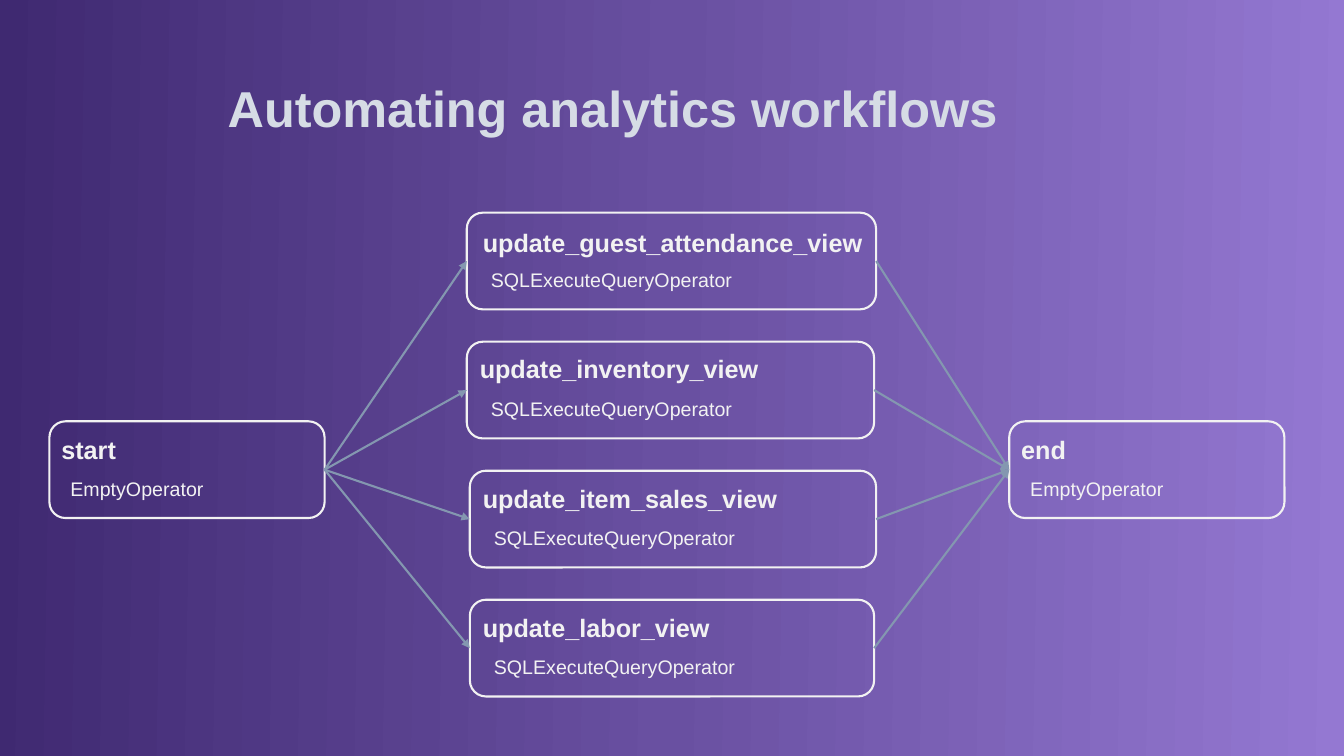
from dataclasses import dataclass

import pptx
import pptx.dml.color
import pptx.enum.shapes
import pptx.enum.text
import pptx.oxml
import pptx.oxml.ns
import pptx.util

Inches = pptx.util.Inches
LEFT_SITE, RIGHT_SITE = 1, 3


@dataclass(frozen=True)
class Theme:
    font: str = "Arial"
    light: str = "F2F2F2"
    heading: str = "D6DCE5"
    arrow: str = "8497B0"
    gradient: tuple = ((0, "3F2971"), (50, "6950A1"), (100, "9478D2"))
    title_size: int = 36
    name_size: int = 18
    operator_size: int = 14
    stroke: float = 1.5


@dataclass(frozen=True)
class Box:
    left: float
    top: float
    width: float
    height: float

    def inner(self, dx, dy, width, height):
        return Box(self.left + dx, self.top + dy, width, height)

    def lengths(self):
        return [Inches(v) for v in (self.left, self.top, self.width, self.height)]


THEME = Theme()
SLIDE = Box(0, 0, 13.33, 7.5)
NODE_HEIGHT = 0.96
END_WIDTH = 2.73
END_TOP = 4.18
TASK_TOP = 2.11
TASK_PITCH = 1.28

# Name, left, width, offset of the name inside its node, width of the name
TASKS = [
    ("update_guest_attendance_view", 4.63, 4.06, (0.06, 0.10), 4.06),
    ("update_inventory_view", 4.63, 4.04, (0.03, 0.07), 3.62),
    ("update_item_sales_view", 4.66, 4.03, (0.03, 0.08), 3.62),
    ("update_labor_view", 4.66, 4.01, (0.03, 0.08), 3.62),
]


def color(value):
    return pptx.dml.color.RGBColor.from_string(value)


def paint_background(slide):
    fill = slide.background.fill
    fill.gradient()
    fill.gradient_angle = 359
    stops = fill._fill._gradFill.find(pptx.oxml.ns.qn("a:gsLst"))
    for stop in list(stops):
        stops.remove(stop)
    for share, value in THEME.gradient:
        stops.append(pptx.oxml.parse_xml(
            f'<a:gs {pptx.oxml.ns.nsdecls("a")} pos="{share * 1000}">'
            f'<a:srgbClr val="{value}"/></a:gs>'))


def add_label(shapes, box, text, size, value, bold=False, wrap=True):
    label = shapes.add_textbox(*box.lengths())
    frame = label.text_frame
    frame.word_wrap = wrap
    frame.auto_size = pptx.enum.text.MSO_AUTO_SIZE.SHAPE_TO_FIT_TEXT
    paragraph = frame.paragraphs[0]
    run = paragraph.add_run()
    run.text = text
    run.font.name = THEME.font
    run.font.size = pptx.util.Pt(size)
    run.font.bold = bold
    run.font.color.rgb = color(value)
    return paragraph


def add_title(slide, box):
    paragraph = add_label(slide.shapes, box, "Automating analytics workflows",
                          THEME.title_size, THEME.heading, bold=True)
    paragraph.line_spacing = 1.14


def add_node(slide, box, name, operator, name_box, operator_box, wrap=True):
    """Draw one workflow step as a group and return its outline."""
    shapes = slide.shapes.add_group_shape().shapes
    outline = shapes.add_shape(
        pptx.enum.shapes.MSO_SHAPE.ROUNDED_RECTANGLE, *box.lengths())
    outline.shadow.inherit = False
    outline.fill.background()
    outline.line.color.rgb = color(THEME.light)
    outline.line.width = pptx.util.Pt(THEME.stroke)
    add_label(shapes, name_box, name, THEME.name_size, THEME.light,
              bold=True, wrap=wrap)
    add_label(shapes, operator_box, operator, THEME.operator_size, THEME.light)
    return outline


def add_tasks(slide):
    outlines = []
    for row, (name, left, width, offset, name_width) in enumerate(TASKS):
        box = Box(left, TASK_TOP + row * TASK_PITCH, width, NODE_HEIGHT)
        outlines.append(add_node(
            slide, box, name, "SQLExecuteQueryOperator",
            box.inner(*offset, name_width, 0.4), box.inner(0.14, 0.5, 2.87, 0.34)))
    return outlines


def add_endpoint(slide, box, name, name_width):
    return add_node(slide, box, name, "EmptyOperator",
                    box.inner(0.02, 0.08, name_width, 0.4),
                    box.inner(0.11, 0.5, 1.83, 0.34), wrap=False)


def add_arrow(slide, source, target):
    arrow = slide.shapes.add_connector(
        pptx.enum.shapes.MSO_CONNECTOR.STRAIGHT, 0, 0, 0, 0)
    arrow.begin_connect(source, RIGHT_SITE)
    arrow.end_connect(target, LEFT_SITE)
    arrow.line.color.rgb = color(THEME.arrow)
    arrow.line.width = pptx.util.Pt(THEME.stroke)
    namespace = pptx.oxml.ns.nsdecls("a")
    arrow.line._get_or_add_ln().append(
        pptx.oxml.parse_xml(f'<a:tailEnd {namespace} type="triangle"/>'))
    arrow._element.spPr.append(pptx.oxml.parse_xml(f"<a:effectLst {namespace}/>"))


def add_workflow(slide):
    tasks = add_tasks(slide)
    start = add_endpoint(
        slide, Box(0.49, END_TOP, END_WIDTH, NODE_HEIGHT), "start", 0.75)
    end = add_endpoint(
        slide, Box(10.01, END_TOP, END_WIDTH, NODE_HEIGHT), "end", 0.65)
    for task in tasks:
        add_arrow(slide, start, task)
    for task in tasks:
        add_arrow(slide, task, end)


def main():
    deck = pptx.Presentation()
    deck.slide_width = Inches(SLIDE.width)
    deck.slide_height = Inches(SLIDE.height)
    slide = deck.slides.add_slide(deck.slide_layouts[6])
    paint_background(slide)
    add_workflow(slide)
    add_title(slide, Box(2.16, 0.63, 9.82, 0.76))
    deck.save("out.pptx")


if __name__ == "__main__":
    main()
